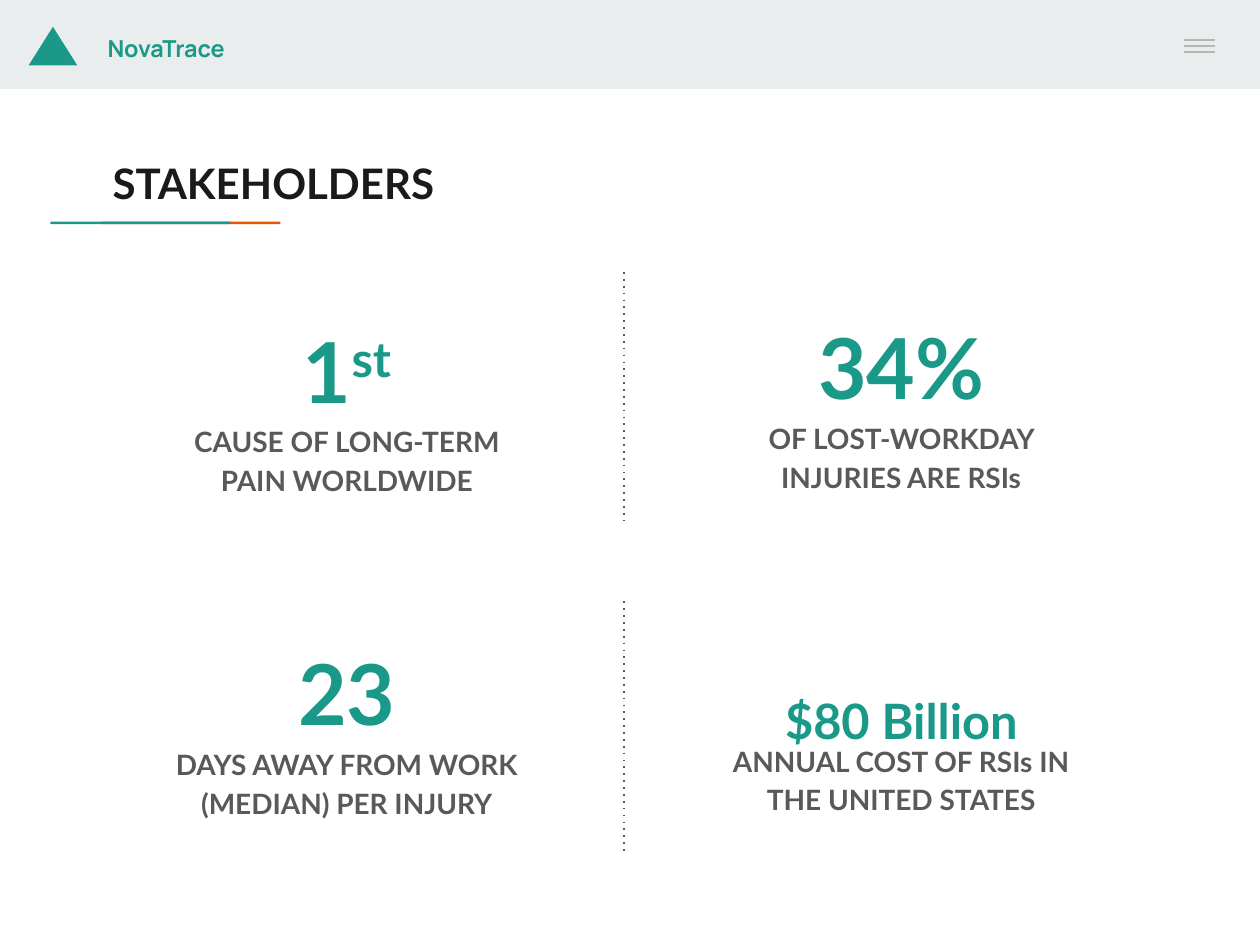
from lxml import etree
from pptx import Presentation
from pptx.dml.color import RGBColor
from pptx.enum.shapes import MSO_CONNECTOR, MSO_SHAPE
from pptx.enum.text import MSO_ANCHOR, MSO_AUTO_SIZE, PP_ALIGN
from pptx.oxml.ns import qn
from pptx.util import Inches, Pt

RECT = MSO_SHAPE.RECTANGLE
MARK = MSO_SHAPE.ISOSCELES_TRIANGLE
LINE = MSO_CONNECTOR.STRAIGHT
TOP, MID = MSO_ANCHOR.TOP, MSO_ANCHOR.MIDDLE
LEFT, MIDDLE = PP_ALIGN.LEFT, PP_ALIGN.CENTER
FIXED = MSO_AUTO_SIZE.NONE

TEAL = RGBColor(0x1A, 0x99, 0x88)
ORANGE = RGBColor(0xEB, 0x56, 0x00)
PALE = RGBColor(0xE9, 0xED, 0xEE)
SILVER = RGBColor(0xB7, 0xB7, 0xB7)
GREY = RGBColor(0x59, 0x59, 0x59)
BLACK = RGBColor(0x1A, 0x1A, 0x1A)

WIDTH = 7.5
HEIGHT = WIDTH * 3 / 4


def place(item, box):
    item.left, item.top, item.width, item.height = map(Inches, box)


def write(item, runs, size=12, color=GREY, face="Lato", align=LEFT,
          anchor=TOP, spacing=1.0, after=0):
    frame = item.text_frame
    frame.word_wrap = True
    frame.auto_size = FIXED
    frame.vertical_anchor = anchor
    frame.margin_left = frame.margin_right = Inches(0.07)
    frame.margin_top = frame.margin_bottom = Inches(0.07)
    para = frame.paragraphs[0]
    para.alignment = align
    para.line_spacing = spacing
    para.space_after = Pt(after)
    for words, raised in runs:
        run = para.add_run()
        run.text = words
        font = run.font
        font.size, font.name, font.bold = Pt(size), face, True
        font.color.rgb = color
        if raised:
            run._r.get_or_add_rPr().set("baseline", "30000")


def label(slide, box, runs, **style):
    item = slide.shapes.add_textbox(*map(Inches, box))
    write(item, runs, **style)


def block(slide, box, color, kind=RECT):
    item = slide.shapes.add_shape(kind, *map(Inches, box))
    item.shadow.inherit = False
    item.fill.solid()
    item.fill.fore_color.rgb = color
    item.line.fill.background()


def rule(slide, ends, color, dash="solid"):
    item = slide.shapes.add_connector(LINE, *map(Inches, ends))
    item.line.color.rgb = color
    item.line.width = Pt(0.75)
    props = item._element.spPr
    etree.SubElement(props.find(qn("a:ln")), qn("a:prstDash")).set("val", dash)
    etree.SubElement(props, qn("a:effectLst"))


def header(slide, box):
    left, top, width, height = box
    block(slide, box, PALE)
    block(slide, (left + 0.17, top + 0.16, 0.29, 0.23), TEAL, MARK)
    label(slide, (left + 0.57, top + 0.11, 1.72, 0.35),
          [("NovaTrace", False)], size=10, color=TEAL, face="Manrope", anchor=MID)
    right = left + width - 0.27
    for step in range(3):
        y = top + 0.24 + step * 0.07 / 2
        rule(slide, (right - 0.18, y, right, y), SILVER)


def heading(slide, box, words):
    left, top, width, height = box
    title = slide.shapes.title
    place(title, box)
    write(title, [(words, False)], size=18, color=BLACK)
    y, thick = top + height + 0.01, 0.03 / 2
    block(slide, (left + 0.01, y, 1.06, thick), ORANGE)
    block(slide, (left - 0.3, y, 1.07, thick), TEAL)


def stat(slide, box, runs, words, span, drop):
    left, top, width, height = box
    style = dict(align=MIDDLE, spacing=1.15, after=12)
    label(slide, box, runs, size=36, color=TEAL, **style)
    label(slide, (left + (width - span) / 2, top + drop, span, 0.61),
          [(words, False)], **style)


def stats(slide, box):
    left, top, width, height = box
    cells = [
        (0, 0.12, 0.78, [("1", False), ("st", True)],
         "CAUSE OF LONG-TERM PAIN WORLDWIDE", 2.15, 0.69),
        (1, 0.1, 0.78, [("34%", False)],
         "OF LOST-WORKDAY INJURIES ARE RSIs", 2.17, 0.69),
        (0, 2.04, 0.78, [("23", False)],
         "DAYS AWAY FROM WORK (MEDIAN) PER INJURY", 2.37, 0.69),
        (1, 2.27, 0.3, [("$80 Billion", True)],
         "ANNUAL COST OF RSIs IN THE UNITED STATES", 2.17, 0.44),
    ]
    for col, down, tall, runs, words, span, drop in cells:
        stat(slide, (left + col * 3.3, top + down, 1.89, tall),
             runs, words, span, drop)
    for row in range(2):
        y = top + row * 1.96
        rule(slide, (left + width / 2, y, left + width / 2, y + 1.49), GREY, "dot")


def main():
    deck = Presentation()
    deck.slide_width, deck.slide_height = Inches(WIDTH), Inches(HEIGHT)
    slide = deck.slides.add_slide(deck.slide_layouts[5])
    header(slide, (0, 0, WIDTH, 0.53))
    heading(slide, (0.6, 0.87, 6.31, 0.44), "STAKEHOLDERS")
    stats(slide, (1.12, 1.62, 5.19, 3.45))
    deck.save("out.pptx")


if __name__ == "__main__":
    main()
